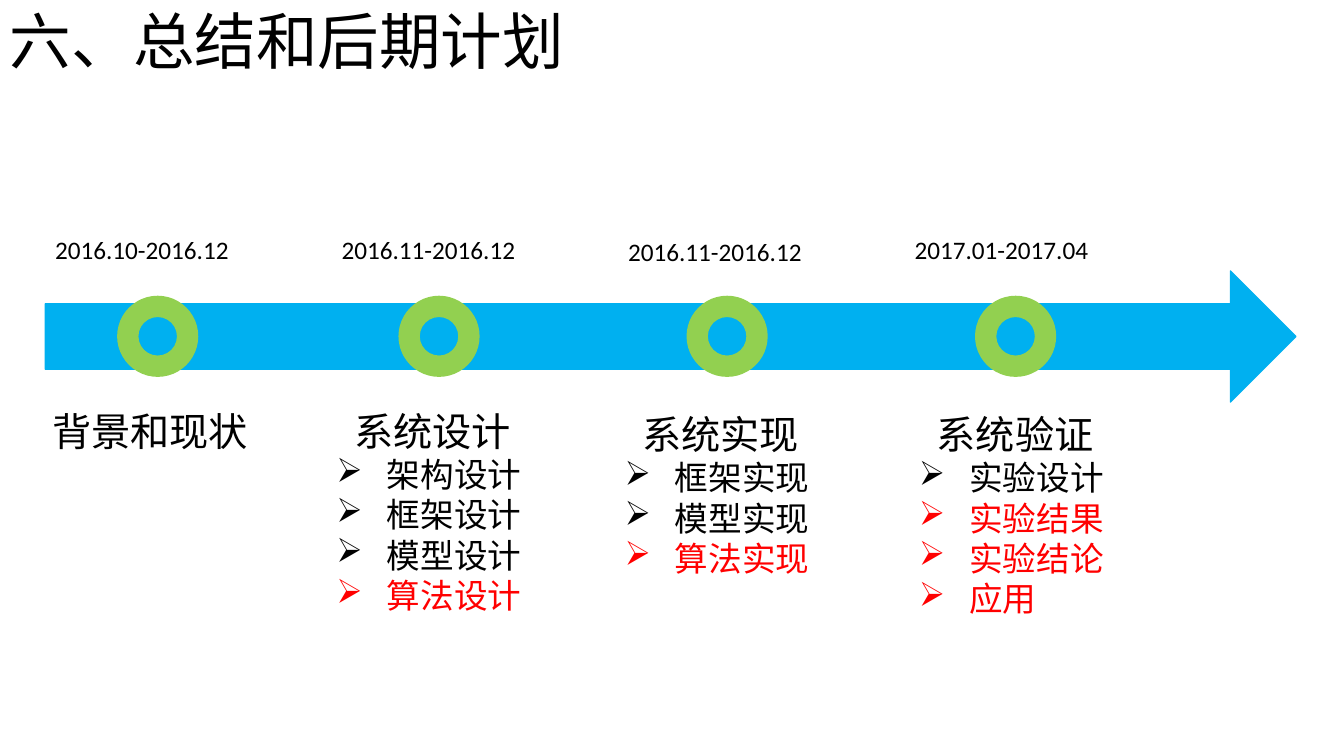
import pptx
import pptx.dml.color
import pptx.enum.shapes
import pptx.enum.text
import pptx.oxml
import pptx.oxml.ns
import pptx.util
from pptx.util import Cm

BLACK, RED, BLUE, GREEN = "000000", "FF0000", "00B0F0", "92D050"
BULLET_INDENT = Cm(1.27)
HEADING_INDENT = Cm(0.45)


def paint(color_format, hex_color):
    color_format.rgb = pptx.dml.color.RGBColor.from_string(hex_color)


def write(frame, text, size=18, color=BLACK, indent=0, bullet=None, spacing=None):
    """Add one paragraph to the frame, filling its empty first one if there is one."""
    frame.word_wrap = True
    paragraph = frame.add_paragraph() if frame.text else frame.paragraphs[0]
    paragraph.line_spacing = spacing
    run = paragraph.add_run()
    run.text = text
    run.font.name = "Calibri"
    run.font.size = pptx.util.Pt(size)
    paint(run.font.color, color)
    properties = paragraph._p.get_or_add_pPr()
    properties.set("marL", str(int(indent)))
    if bullet:
        properties.set("indent", str(-int(indent)))
        mark = pptx.oxml.parse_xml(f'<a:buChar {pptx.oxml.ns.nsdecls("a")} char="{bullet}"/>')
        properties.append(mark)


presentation = pptx.Presentation()
presentation.slide_width, presentation.slide_height = Cm(33.87), Cm(19.05)
slide = presentation.slides.add_slide(presentation.slide_layouts[6])
shapes = slide.shapes

# Title
title = shapes.add_textbox(Cm(0), Cm(-0.08), Cm(29.21), Cm(2.41)).text_frame
title.vertical_anchor = pptx.enum.text.MSO_ANCHOR.MIDDLE
write(title, "六、总结和后期计划", size=44, spacing=0.9)

# Timeline arrow, then a ring for each stage
preset = pptx.enum.shapes.MSO_SHAPE
timeline = [(preset.RIGHT_ARROW, BLUE, 1.14, 6.83, 31.52, 3.3)]
for ring_left in (2.97, 10.06, 17.32, 24.59):
    timeline.append((preset.DONUT, GREEN, ring_left, 7.47, 2.01, 2.01))

for kind, color, left, top, width, height in timeline:
    part = shapes.add_shape(kind, Cm(left), Cm(top), Cm(width), Cm(height))
    part.shadow.inherit = False
    part.fill.solid()
    paint(part.fill.fore_color, color)
    paint(part.line.color, color)
    part.line.width = pptx.util.Pt(1)

# Stages: dates, date top, heading, heading left and top, finished tasks, open tasks
stages = [
    ("2016.10-2016.12", 5.77, "背景和现状", 1.07, 10.13, [], []),
    ("2016.11-2016.12", 5.79, "系统设计", 8.23, 10.13,
     ["架构设计", "框架设计", "模型设计"], ["算法设计"]),
    ("2016.11-2016.12", 5.84, "系统实现", 15.49, 10.21,
     ["框架实现", "模型实现"], ["算法实现"]),
    ("2017.01-2017.04", 5.79, "系统验证", 22.91, 10.21,
     ["实验设计"], ["实验结果", "实验结论", "应用"]),
]
for index, (dates, date_top, heading, left, top, finished, still_open) in enumerate(stages):
    period = shapes.add_textbox(Cm(1.14 + 7.22 * index), Cm(date_top), Cm(5.54), Cm(1.02))
    write(period.text_frame, dates)

    tasks = finished + still_open
    height = 5.56 if tasks else 1.45
    stage = shapes.add_textbox(Cm(left), Cm(top), Cm(5.66), Cm(height)).text_frame
    write(stage, heading, size=28, indent=HEADING_INDENT if tasks else 0)
    for task in tasks:
        write(stage, task, size=24, color=RED if task in still_open else BLACK,
              indent=BULLET_INDENT, bullet="➢")

presentation.save("out.pptx")
